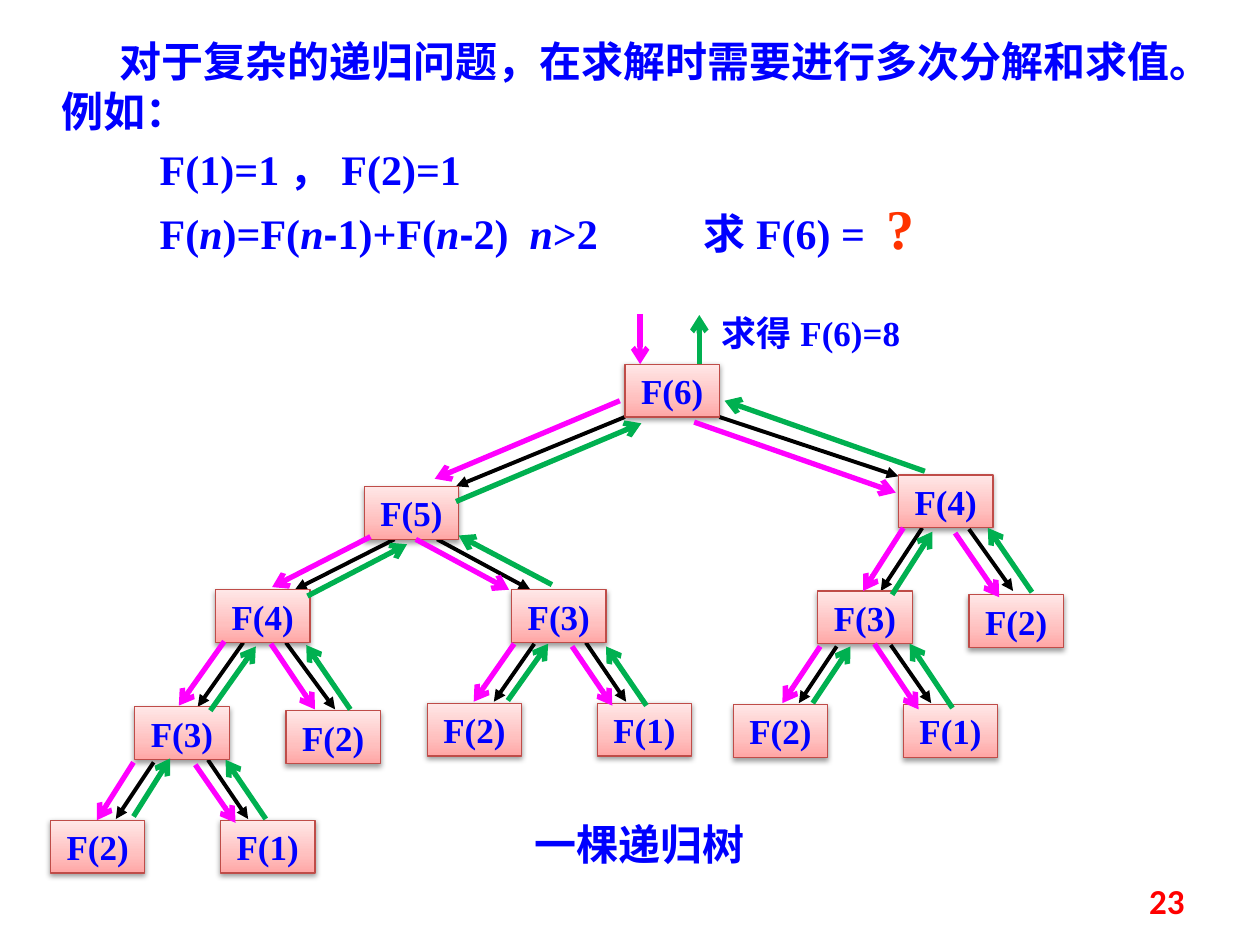
from lxml.etree import SubElement
from pptx import Presentation
from pptx.dml.color import RGBColor
from pptx.enum.shapes import MSO_CONNECTOR, MSO_SHAPE
from pptx.enum.text import MSO_ANCHOR, PP_ALIGN
from pptx.oxml import parse_xml
from pptx.oxml.ns import nsdecls, qn
from pptx.util import Pt

COLORS = {
    "text": "0000FF", "question": "FF3300", "page": "FF0000", "border": "BF4C48",
    "branch": "000000", "call": "FF00FF", "return": "00B050",
}
NODE_GRADIENT = [(0, "FFA6A5"), (35, "FFC0BF"), (100, "FFE7E7")]
NODE_SIZE = (54, 30.24)

# Content: each paragraph is a list of (text, run format)
ITALIC, MINUS = {"italic": True}, {"font": "Arial"}
INTRO = [
    [("对于复杂的递归问题，在求解时需要进行多次分解和求值。", {})],
    [("例如：", {})],
]
DEFINITION = [
    [("F(1)=1，F(2)=1", {})],
    [("F(", {}), ("n", ITALIC), (")=F(", {}), ("n", ITALIC), ("-", MINUS),
     ("1)+F(", {}), ("n", ITALIC), ("-", MINUS), ("2)  ", {}), ("n", ITALIC),
     (">2\t求F(6) =  ", {}), ("?", {"size": 32, "color": "question"})],
]

# Tree nodes: label, left, top
NODES = [
    ("F(6)", 357.1, 208.1),
    ("F(5)", 208.1, 277.9), ("F(4)", 513.4, 271.4),
    ("F(4)", 123.1, 337), ("F(3)", 292.3, 337),
    ("F(3)", 467.3, 337.7), ("F(2)", 553.7, 339.8),
    ("F(3)", 77, 403.9), ("F(2)", 163.4, 406.1),
    ("F(2)", 244.1, 401.8), ("F(1)", 341.3, 401.8),
    ("F(2)", 419, 402.5), ("F(1)", 516.2, 402.5),
    ("F(2)", 28.8, 468.7), ("F(1)", 126, 468.7),
]

# Arrows by role: start x, start y, end x, end y
ARROWS = {
    "branch": [
        (357.1, 238.3, 260.6, 277.9), (411.1, 238.3, 513.4, 272.2),
        (225.4, 308.2, 168.5, 337), (249.8, 308.2, 303.1, 337),
        (527, 301.7, 503.3, 337.7), (553.7, 302.4, 578.9, 337.7),
        (139, 367.2, 113, 403.9), (163.4, 367.2, 191.5, 405.4),
        (305.3, 367.9, 282.2, 401), (334.8, 367.2, 357.8, 401),
        (478.1, 369.4, 456.5, 401.8), (509, 368.6, 532.1, 401.8),
        (87.8, 435.6, 66.2, 468), (118.8, 434.2, 141.8, 468),
    ],
    "call": [
        (365.8, 179.3, 365.8, 208.1),
        (354.2, 229, 248.4, 273.6), (396.7, 241.2, 511.9, 281.5),
        (211.7, 306.7, 155.5, 335.5), (237.6, 308.2, 290.9, 337),
        (516.2, 301.7, 493.2, 337.7), (545.8, 304.6, 571, 341.3),
        (128.2, 366.5, 102.2, 403.2), (154.8, 367.9, 180, 405.4),
        (293.8, 367.9, 270.7, 401), (326.9, 369.4, 349.9, 403.2),
        (468.7, 369.4, 447.1, 401.8), (499.7, 367.9, 524.9, 405.4),
        (76.3, 435.6, 55.4, 468.7), (111.6, 437, 134.6, 470.2),
    ],
    "return": [
        (399.6, 208.1, 399.6, 180),
        (260.6, 286.6, 366.5, 241.9), (528.5, 269.3, 414, 229),
        (175.7, 340.6, 232.6, 311), (315.4, 334.1, 262.1, 306),
        (509.8, 339.8, 532.8, 303.8), (589.7, 338.4, 564.5, 301.7),
        (120.2, 406.1, 146.2, 369.4), (200.2, 405.4, 175, 368.6),
        (290.2, 400.3, 313.2, 367.9), (369.4, 403.2, 346.3, 369.4),
        (464.4, 401.8, 486, 369.4), (544.3, 404.6, 519.8, 367.9),
        (76.3, 466.6, 97.2, 433.4), (151.9, 468, 128.9, 434.2),
    ],
}
ARROW_STYLES = {"branch": (2.25, "triangle"), "call": (3, "arrow"), "return": (3, "arrow")}


def color(name):
    return RGBColor.from_string(COLORS[name])


def write_text(shape, content, size=24, font="Times New Roman", ink="text", bold=True,
               align=PP_ALIGN.LEFT, anchor=MSO_ANCHOR.TOP):
    """Write a string, or paragraphs of formatted runs, into a shape."""
    frame = shape.text_frame
    frame.word_wrap = True
    frame.vertical_anchor = anchor
    paragraphs = [[(content, {})]] if isinstance(content, str) else content
    for index, runs in enumerate(paragraphs):
        paragraph = frame.add_paragraph() if index else frame.paragraphs[0]
        paragraph.alignment = align
        for text, style in runs:
            run = paragraph.add_run()
            run.text = text
            run.font.name = style.get("font", font)
            run.font.size = Pt(style.get("size", size))
            run.font.bold = bold
            run.font.italic = style.get("italic", False)
            run.font.color.rgb = color(style.get("color", ink))
    return frame


def add_text(slide, box, content, **style):
    return write_text(slide.shapes.add_textbox(*map(Pt, box)), content, **style)


def add_node(slide, label, left, top):
    shape = slide.shapes.add_shape(MSO_SHAPE.RECTANGLE, Pt(left), Pt(top), *map(Pt, NODE_SIZE))
    shape.line.color.rgb = color("border")
    shape.line.width = Pt(0.75)
    shape.fill.gradient()
    shape.fill.gradient_angle = 90
    stops = shape._element.spPr.find(qn("a:gradFill")).find(qn("a:gsLst"))
    for stop in list(stops):
        stops.remove(stop)
    for position, value in NODE_GRADIENT:
        stop = SubElement(stops, qn("a:gs"), pos=str(position * 1000))
        SubElement(stop, qn("a:srgbClr"), val=value)
    shape._element.spPr.append(parse_xml(
        f'<a:effectLst {nsdecls("a")}><a:outerShdw blurRad="{Pt(3.1)}" dist="{Pt(1.6)}" '
        'dir="5400000" rotWithShape="0"><a:srgbClr val="000000"><a:alpha val="38000"/>'
        '</a:srgbClr></a:outerShdw></a:effectLst>'))
    write_text(shape, label, size=20, align=PP_ALIGN.CENTER, anchor=MSO_ANCHOR.MIDDLE)


def add_arrows(slide, role):
    width, head = ARROW_STYLES[role]
    for ends in ARROWS[role]:
        connector = slide.shapes.add_connector(MSO_CONNECTOR.STRAIGHT, *map(Pt, ends))
        connector.line.color.rgb = color(role)
        connector.line.width = Pt(width)
        properties = connector._element.spPr
        SubElement(properties.find(qn("a:ln")), qn("a:tailEnd"), type=head)
        SubElement(properties, qn("a:effectLst"))


def main():
    presentation = Presentation()
    presentation.slide_width, presentation.slide_height = Pt(720), Pt(540)
    slide = presentation.slides.add_slide(presentation.slide_layouts[6])

    # Introduction, with an indented first line
    intro = add_text(slide, (28.1, 16.6, 669.6, 65.5), INTRO)
    intro.paragraphs[0]._p.get_or_add_pPr().set("indent", str(Pt(33)))

    # Definition, with the question at a tab stop
    definition = add_text(slide, (84.2, 78.5, 486, 74.9), DEFINITION)
    tabs = SubElement(definition.paragraphs[1]._p.get_or_add_pPr(), qn("a:tabLst"))
    SubElement(tabs, qn("a:tab"), pos=str(Pt(311)), algn="l")

    # Recursion tree
    add_arrows(slide, "branch")
    for node in NODES:
        add_node(slide, *node)
    add_arrows(slide, "call")
    add_arrows(slide, "return")

    # Result, caption and page number
    add_text(slide, (405.4, 174.2, 150.5, 31.7), "求得F(6)=8", size=20)
    add_text(slide, (298.1, 464.4, 174.2, 36), "一棵递归树")
    add_text(slide, (516.2, 500.4, 167.8, 28.8), "23", size=20, font="Calibri", ink="page",
             align=PP_ALIGN.RIGHT, anchor=MSO_ANCHOR.MIDDLE)

    presentation.save("out.pptx")


if __name__ == "__main__":
    main()
